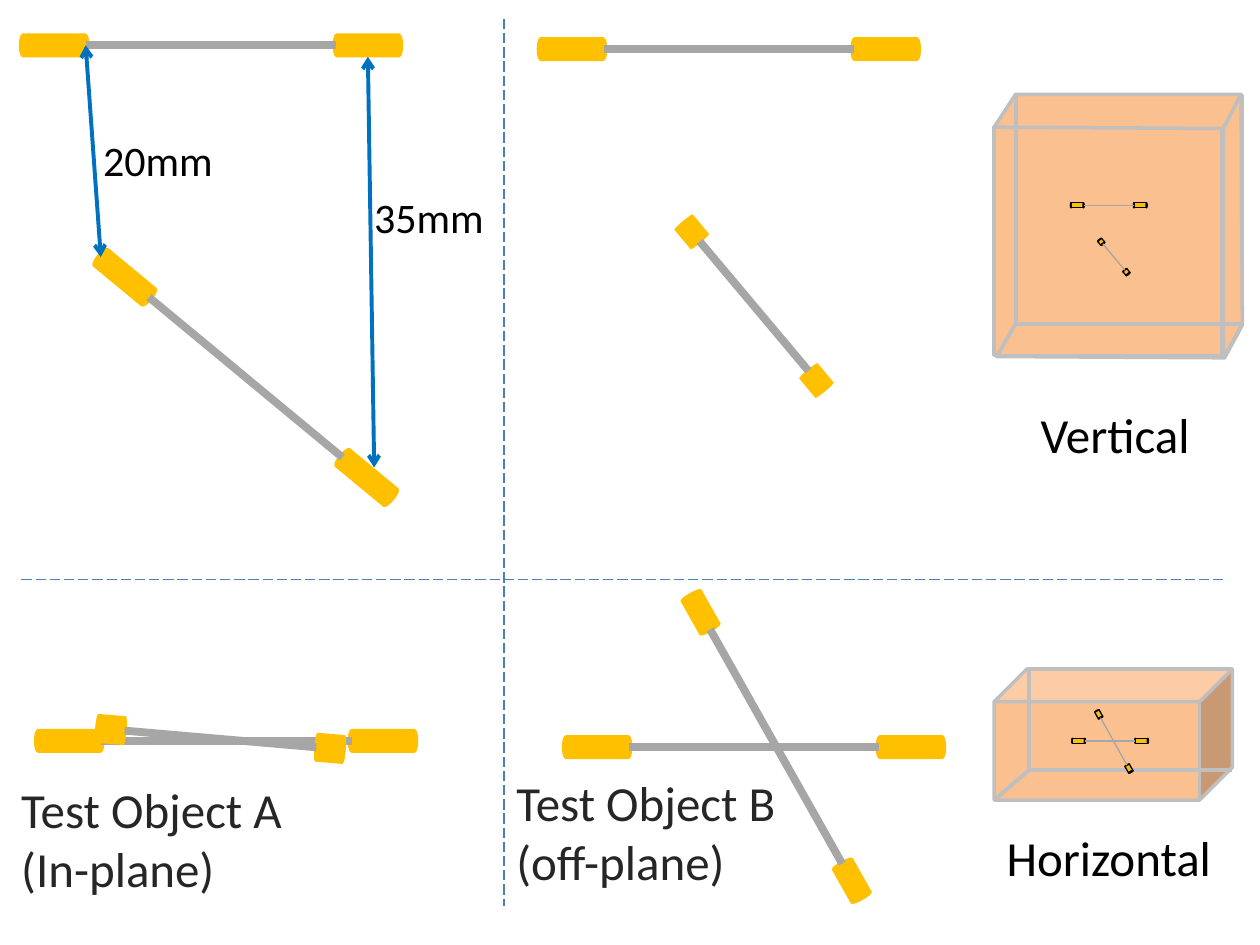
"""Builds a slide with two rod test objects in vertical and horizontal views."""
from math import cos, radians, sin

from lxml import etree
from pptx import Presentation
from pptx.dml.color import RGBColor
from pptx.enum.dml import MSO_LINE
from pptx.enum.shapes import MSO_CONNECTOR, MSO_SHAPE
from pptx.enum.text import MSO_AUTO_SIZE, PP_ALIGN
from pptx.oxml.ns import qn
from pptx.util import Inches, Pt

GOLD = RGBColor(0xFF, 0xC0, 0x00)
ROD = RGBColor(0xA6, 0xA6, 0xA6)
PEACH = RGBColor(0xFA, 0xC0, 0x90)
EDGE = RGBColor(0xBF, 0xBF, 0xBF)
ARROW = RGBColor(0x00, 0x70, 0xC0)
DIVIDER = RGBColor(0x4B, 0x7E, 0xBC)
BLACK = RGBColor(0, 0, 0)
DARK = RGBColor(0x26, 0x26, 0x26)

prs = Presentation()
prs.slide_width, prs.slide_height = Inches(10), Inches(7.5)
s = prs.slides.add_slide(prs.slide_layouts[6])


def paint(sp, fill, color, width):
    sp.shadow.inherit = False
    sp.fill.solid()
    sp.fill.fore_color.rgb = fill
    if width:
        sp.line.color.rgb = color
        sp.line.width = Pt(width)
    else:
        sp.line.fill.background()


def add_line(shapes, x1, y1, x2, y2, color, width):
    line = shapes.add_connector(MSO_CONNECTOR.STRAIGHT, *map(Inches, (x1, y1, x2, y2)))
    line.line.color.rgb = color
    line.line.width = Pt(width)
    etree.SubElement(line._element.spPr, qn("a:effectLst"))
    return line


bottom = [(7.91, 2.83), (8.07, 2.57), (9.86, 2.58), (9.72, 2.84)]
top = [(7.89, 1.01), (8.06, 0.75), (9.85, 0.75), (9.71, 1.02)]
side = [(9.71, 1.02), (9.85, 0.75), (9.86, 2.57), (9.71, 2.84)]
back_face = [(8.05, 0.76), (9.86, 0.76), (9.86, 2.57), (8.05, 2.57)]
front_face = [(7.89, 1.01), (9.70, 1.01), (9.70, 2.82), (7.89, 2.82)]
big_rods = [
    (0.43, 0.36, 2.92, 0.36, 0.5, 0.19, 0.06, 0),
    (0.99, 2.2, 2.91, 3.79, 0.5, 0.19, 0.06, 39.6),
    (4.54, 0.39, 7.03, 0.39, 0.5, 0.19, 0.06, 0),
    (5.49, 1.84, 6.48, 3.02, 0.2, 0.19, 0.02, 50.1),
    (0.55, 5.88, 3.04, 5.88, 0.5, 0.19, 0.06, 0),
    (4.74, 5.93, 7.23, 5.93, 0.5, 0.19, 0.06, 0),
    (5.56, 4.86, 6.76, 6.99, 0.31, 0.19, 0.04, 60.6),
    (0.88, 5.79, 2.62, 5.94, 0.22, 0.23, 0.03, 4.7),
]
upper_rods = [
    (8.55, 1.63, 9.05, 1.63, 0.1, 0.04, 0.01, 0),
    (8.74, 1.92, 8.94, 2.16, 0.04, 0.04, 0.01, 50.1),
]
lower_rods = [
    (8.56, 5.88, 9.06, 5.88, 0.1, 0.04, 0.01, 0),
    (8.72, 5.67, 8.96, 6.1, 0.06, 0.04, 0.01, 60.6),
]
upper_edges = [(8.06, 0.75, 8.06, 2.57), (9.86, 2.57, 8.06, 2.57), (8.06, 2.57, 7.91, 2.83)]
lower_edges = [(8.17, 5.31, 8.17, 6.11), (9.78, 6.11, 8.17, 6.11), (8.17, 6.11, 7.89, 6.35)]

layers = [
    ([bottom, back_face], big_rods, 0, 4.5, []),
    ([front_face, top, side], upper_rods, 0.75, 0.75, upper_edges),
    ([], lower_rods, 0.75, 0.75, lower_edges),
]
for faces, rods, outline, rod_width, edges in layers:
    for face in faces:
        pts = [(Inches(x), Inches(y)) for x, y in face]
        builder = s.shapes.build_freeform(*pts[0], scale=1.0)
        builder.add_line_segments(pts[1:], close=True)
        paint(builder.convert_to_shape(), PEACH, EDGE, 2)
    if edges is lower_edges:
        cube = s.shapes.add_shape(MSO_SHAPE.CUBE, *map(Inches, (7.89, 5.31, 1.89, 1.04)))
        paint(cube, PEACH, EDGE, 2)
        for edge in edges:
            add_line(s.shapes, *edge, EDGE, 2.25)
    for x1, y1, x2, y2, length, height, cap, angle in rods:
        group = s.shapes.add_group_shape().shapes
        dx, dy = length / 2 * cos(radians(angle)), length / 2 * sin(radians(angle))
        for x, y in ((x1, y1), (x2, y2)):
            for kind, side_of, width in (
                (MSO_SHAPE.OVAL, -1, cap),
                (MSO_SHAPE.RECTANGLE, 0, length),
                (MSO_SHAPE.OVAL, 1, cap),
            ):
                left, up = x + side_of * dx - width / 2, y + side_of * dy - height / 2
                sp = group.add_shape(kind, *map(Inches, (left, up, width, height)))
                sp.rotation = angle
                paint(sp, GOLD, BLACK, outline)
        add_line(group, x1 + dx, y1 + dy, x2 - dx, y2 - dy, ROD, rod_width)
    if edges is upper_edges:
        for edge in edges:
            add_line(s.shapes, *edge, EDGE, 2.25)

for ends in ((0.8, 2.04, 0.68, 0.36), (2.97, 3.71, 2.92, 0.45)):
    ln = add_line(s.shapes, *ends, ARROW, 2.25).line._get_or_add_ln()
    for tag in ("a:headEnd", "a:tailEnd"):
        etree.SubElement(ln, qn(tag), type="arrow")

for ends in ((0.17, 4.6, 9.71, 4.6), (4, 0.15, 4, 7.19)):
    add_line(s.shapes, *ends, DIVIDER, 0.75).line.dash_style = MSO_LINE.LONG_DASH

for text, x, y, w, h, size, color, align, wrap in (
    ("Vertical", 7.91, 3.16, 1.88, 0.57, 28, BLACK, PP_ALIGN.CENTER, True),
    ("Horizontal", 7.86, 6.52, 1.88, 0.57, 28, BLACK, PP_ALIGN.CENTER, True),
    ("Test Object A\n(In-plane)", 0.07, 6.14, 2.28, 1.04, 28, DARK, PP_ALIGN.LEFT, True),
    ("Test Object B\n(off-plane)", 4, 6.08, 2.33, 1.04, 28, DARK, PP_ALIGN.LEFT, True),
    ("20mm", 0.72, 1.02, 1.08, 0.5, 24, BLACK, PP_ALIGN.LEFT, False),
    ("35mm", 2.87, 1.47, 1.08, 0.5, 24, BLACK, PP_ALIGN.LEFT, False),
):
    tf = s.shapes.add_textbox(*map(Inches, (x, y, w, h))).text_frame
    tf.text = text
    tf.word_wrap = wrap
    tf.auto_size = MSO_AUTO_SIZE.SHAPE_TO_FIT_TEXT
    for p in tf.paragraphs:
        p.alignment = align
        for r in p.runs:
            r.font.name = "Calibri"
            r.font.size = Pt(size)
            r.font.color.rgb = color

prs.save("out.pptx")
